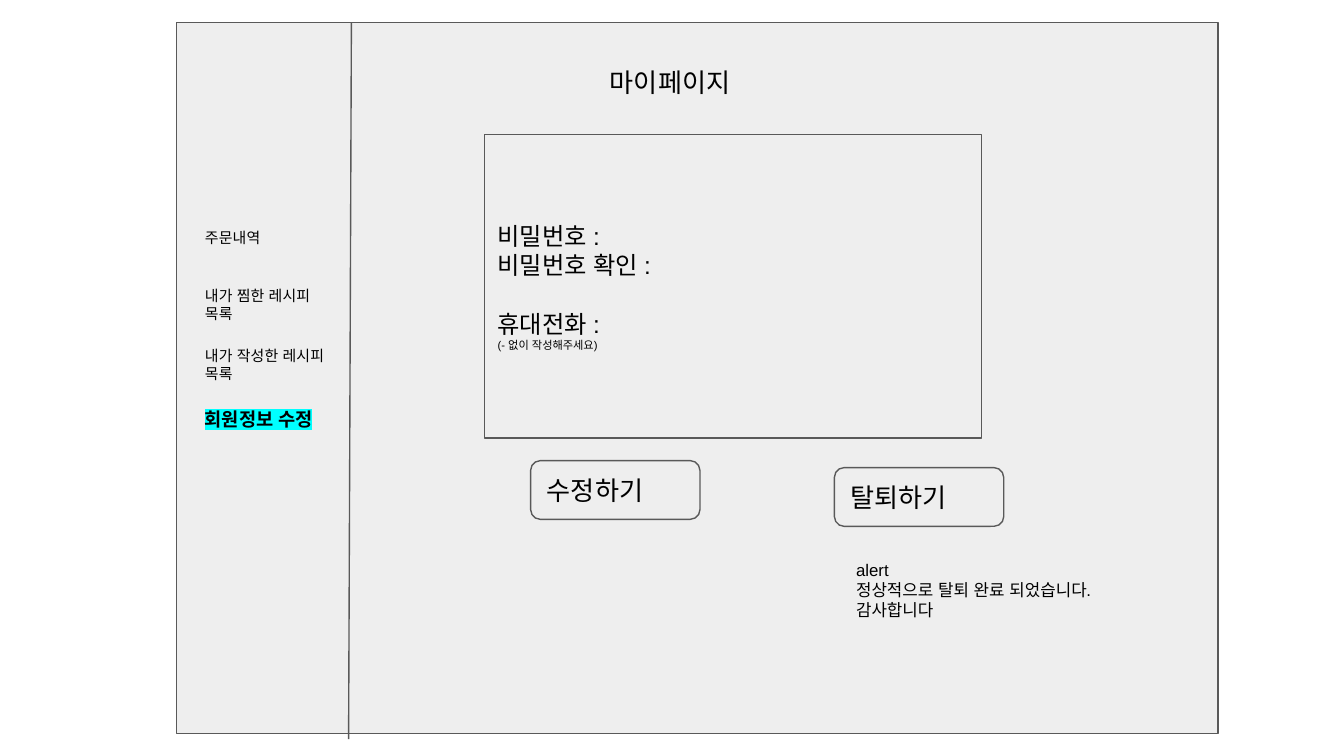
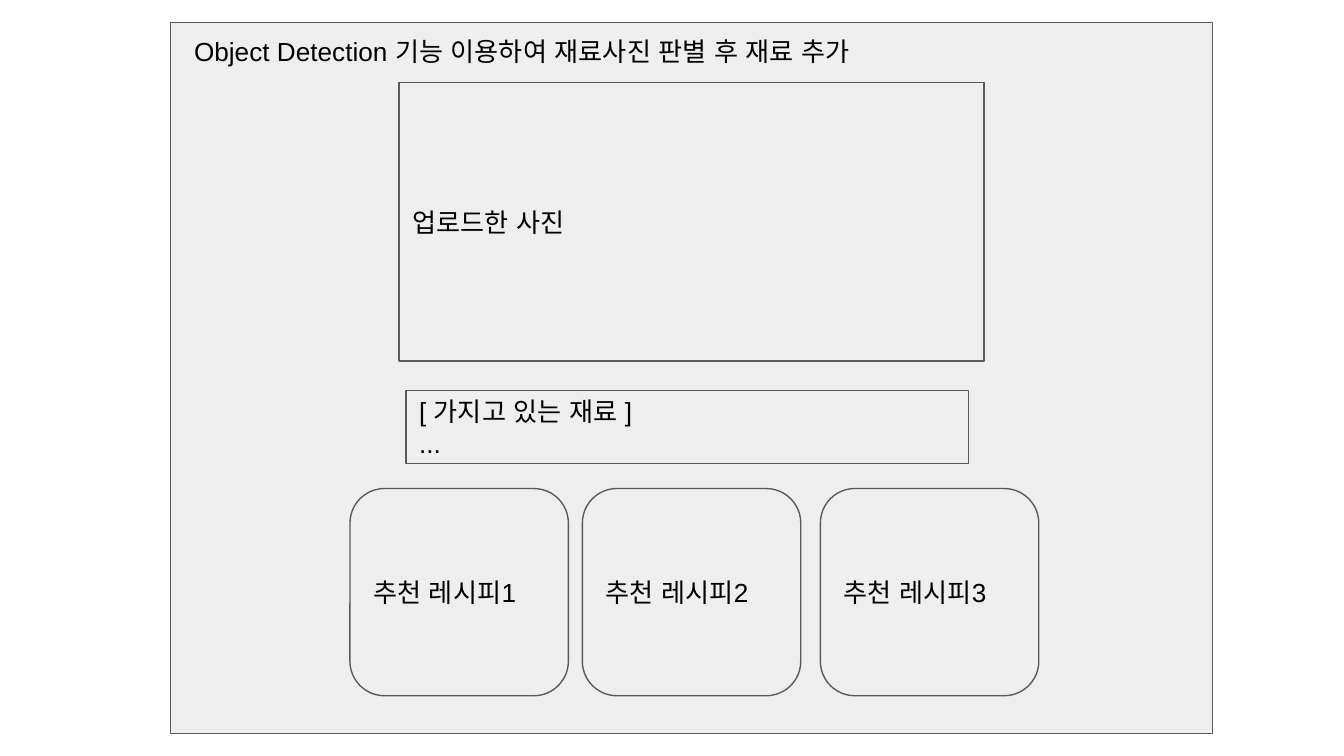
from lxml.etree import SubElement
from pptx import Presentation
from pptx.dml.color import RGBColor
from pptx.enum.shapes import MSO_CONNECTOR, MSO_SHAPE
from pptx.enum.text import MSO_ANCHOR, MSO_AUTO_SIZE, PP_ALIGN
from pptx.oxml.ns import qn
from pptx.util import Pt

PX = 9525
SLIDE_SIZE = (960, 540)
INSET = Pt(7.2)
COLORS = {"panel": "EEEEEE", "line": "595959", "text": "000000", "highlight": "00FFFF"}
FONT = "Arial"
LINE_WIDTH = Pt(0.75)
PANEL_TOP, PANEL_SIZE = 16, (744, 508)

MY_PAGE = {
    "panel_left": 126,
    "title": ("마이페이지", (426, 38, 121, 42)),
    "divider": (251, 16, 249, 528),
    "menu_left": 137,
    "menu": [
        ("주문내역", 157, 113, 33),
        ("내가 찜한 레시피 목록", 195, 113, 45),
        ("내가 작성한 레시피 목록", 238, 113, 45),
    ],
    "current_menu": ("회원정보 수정", 283, 105, 36),
    "form_box": (346, 96, 355, 217),
    "form": [
        ("비밀번호 :", {"size": 13}),
        ("비밀번호 확인 :", {"size": 13}),
        ("휴대전화 :", {"size": 13, "before": 16}),
        ("(- 없이 작성해주세요)", {"size": 6}),
    ],
    "button_size": (121, 42),
    "buttons": [("수정하기", 379, 329), ("탈퇴하기", 596, 334)],
    "alert_box": (602, 390, 203, 63),
    "alert": ["alert", "정상적으로 탈퇴 완료 되었습니다.", "감사합니다"],
}

DETECTION = {
    "panel_left": 122,
    "title": ("Object Detection 기능 이용하여 재료사진 판별 후 재료 추가", (129, 16, 709, 42)),
    "boxes": [
        (["업로드한 사진"], (285, 59, 418, 199)),
        (["[ 가지고 있는 재료 ]", "..."], (290, 279, 402, 52)),
    ],
    "recipe": "추천 레시피{}",
    "recipe_lefts": [250, 416, 586],
    "recipe_top": 349,
    "recipe_size": (156, 148),
}


def emu(lengths):
    return [length * PX for length in lengths]


def color(name):
    return RGBColor.from_string(COLORS[name])


def lines(texts, **format_values):
    return [(text, format_values) for text in texts]


def style_run(run, size, bold=False, highlight=None):
    for attribute, value in {"name": FONT, "size": Pt(size), "bold": bold}.items():
        setattr(run.font, attribute, value)
    run.font.color.rgb = color("text")
    properties = run.font._element
    SubElement(properties, qn("a:ea")).set("typeface", FONT)
    if highlight:
        marker = SubElement(properties, qn("a:highlight"))
        SubElement(marker, qn("a:srgbClr")).set("val", COLORS[highlight])
        properties.find(qn("a:latin")).addprevious(marker)


def write(shape, content, anchor=MSO_ANCHOR.MIDDLE, fit=MSO_AUTO_SIZE.NONE):
    frame = shape.text_frame
    frame_format = {
        "word_wrap": True,
        "auto_size": fit,
        "vertical_anchor": anchor,
        **{f"margin_{side}": INSET for side in ("left", "top", "right", "bottom")},
    }
    for attribute, value in frame_format.items():
        setattr(frame, attribute, value)
    for index, (text, format_values) in enumerate(content):
        paragraph = frame.add_paragraph() if index else frame.paragraphs[0]
        run_format = dict(format_values)
        spacing = {
            "alignment": PP_ALIGN.LEFT,
            "space_before": Pt(run_format.pop("before", 0)),
        }
        for attribute, value in spacing.items():
            setattr(paragraph, attribute, value)
        run = paragraph.add_run()
        run.text = text
        style_run(run, **run_format)


def add_box(slide, place, content=(), preset=MSO_SHAPE.RECTANGLE):
    box = slide.shapes.add_shape(preset, *emu(place))
    box.shadow.inherit = False
    box.fill.solid()
    box.fill.fore_color.rgb = color("panel")
    box.line.color.rgb = color("line")
    box.line.width = LINE_WIDTH
    if content:
        write(box, content)


def add_label(slide, place, content):
    label = slide.shapes.add_textbox(*emu(place))
    write(label, content, MSO_ANCHOR.TOP, MSO_AUTO_SIZE.SHAPE_TO_FIT_TEXT)


def add_divider(slide, ends):
    divider = slide.shapes.add_connector(MSO_CONNECTOR.STRAIGHT, *emu(ends))
    divider.line.color.rgb = color("line")
    divider.line.width = LINE_WIDTH
    SubElement(divider._element.spPr, qn("a:effectLst"))


def add_screen(deck, screen):
    slide = deck.slides.add_slide(deck.slide_layouts[5])
    add_box(slide, (screen["panel_left"], PANEL_TOP, *PANEL_SIZE))
    heading, place = screen["title"]
    title = slide.shapes.title
    for attribute, value in zip(("left", "top", "width", "height"), emu(place)):
        setattr(title, attribute, value)
    write(title, lines([heading], size=14), MSO_ANCHOR.TOP, MSO_AUTO_SIZE.SHAPE_TO_FIT_TEXT)
    slide.shapes._spTree.append(title._element)
    return slide


def build_my_page(deck):
    page = MY_PAGE
    slide = add_screen(deck, page)
    add_divider(slide, page["divider"])
    menu_styles = [{"size": 8}] * len(page["menu"])
    menu_styles.append({"size": 10, "bold": True, "highlight": "highlight"})
    for (item, *place), style in zip(page["menu"] + [page["current_menu"]], menu_styles):
        add_label(slide, (page["menu_left"], *place), lines([item], **style))
    for button, left, top in page["buttons"]:
        add_box(slide, (left, top, *page["button_size"]), lines([button], size=14),
                MSO_SHAPE.ROUNDED_RECTANGLE)
    add_box(slide, page["form_box"], page["form"])
    add_label(slide, page["alert_box"], lines(page["alert"], size=9))


def build_detection(deck):
    page = DETECTION
    slide = add_screen(deck, page)
    for texts, place in page["boxes"]:
        add_box(slide, place, lines(texts, size=14))
    for number, left in enumerate(page["recipe_lefts"], 1):
        add_box(slide, (left, page["recipe_top"], *page["recipe_size"]),
                lines([page["recipe"].format(number)], size=14),
                MSO_SHAPE.ROUNDED_RECTANGLE)


def main():
    deck = Presentation()
    deck.slide_width, deck.slide_height = emu(SLIDE_SIZE)
    build_my_page(deck)
    build_detection(deck)
    deck.save("out.pptx")


if __name__ == "__main__":
    main()
